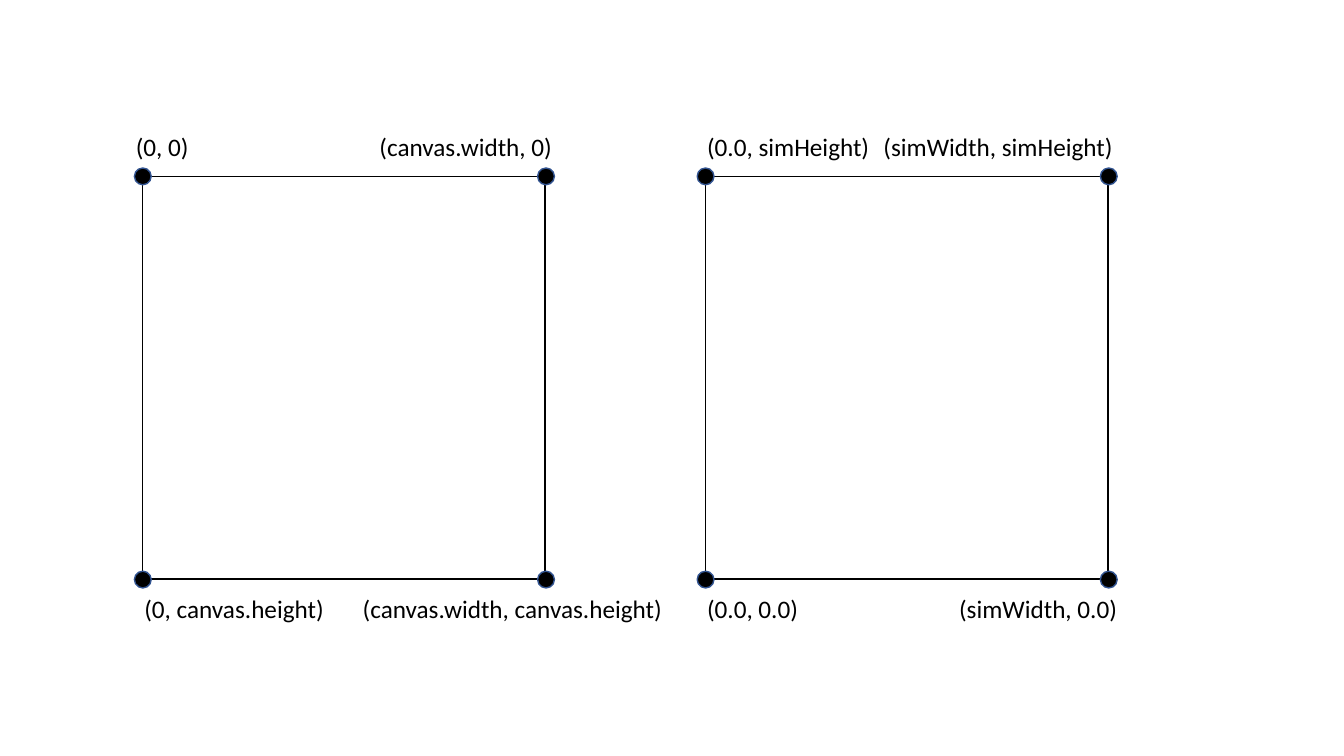
from pptx import Presentation
from pptx.dml.color import RGBColor
from pptx.enum.shapes import MSO_SHAPE
from pptx.enum.text import MSO_AUTO_SIZE, PP_ALIGN
from pptx.util import Pt

RECTANGLE = MSO_SHAPE.RECTANGLE
OVAL = MSO_SHAPE.OVAL
FIT_SHAPE = MSO_AUTO_SIZE.SHAPE_TO_FIT_TEXT
LEFT = PP_ALIGN.LEFT

COLORS = {"ink": "000000", "dot_edge": "325491"}
FONT = "Calibri"
SIDE = 287.5
DOT_SPACING = 288
DOT_SIZE = 12
LABEL_HEIGHT = 29
ABOVE, BELOW = -36, 294

CANVAS_LABELS = [
    ("(0, 0)", -12, ABOVE, 52.5),
    ("(canvas.width, 0)", 162, ABOVE, 139),
    ("(0, canvas.height)", -6, BELOW, 144),
    ("(canvas.width, canvas.height)", 150, BELOW, 231),
]
SIMULATION_LABELS = [
    ("(0.0, simHeight)", -6, ABOVE, 132),
    ("(simWidth, simHeight)", 120, ABOVE, 180),
    ("(0.0, 0.0)", -6, BELOW, 80.5),
    ("(simWidth, 0.0)", 174, BELOW, 129),
]


def color(name):
    return RGBColor.from_string(COLORS[name])


def add_outline(page, kind, left, top, size, line, fill=None):
    shape = page.shapes.add_shape(kind, Pt(left), Pt(top), Pt(size), Pt(size))
    shape.shadow.inherit = False
    if fill:
        shape.fill.solid()
        shape.fill.fore_color.rgb = color(fill)
    else:
        shape.fill.background()
    shape.line.color.rgb = color(line)
    shape.line.width = Pt(1)


def add_label(page, text, left, top, width):
    box = page.shapes.add_textbox(Pt(left), Pt(top), Pt(width), Pt(LABEL_HEIGHT))
    frame = box.text_frame
    frame.word_wrap = False
    frame.auto_size = FIT_SHAPE
    para = frame.paragraphs[0]
    para.alignment = LEFT
    span = para.add_run()
    span.text = text
    span.font.name = FONT
    span.font.size = Pt(18)
    span.font.color.rgb = color("ink")


def add_coordinate_square(page, left, top, labels):
    add_outline(page, RECTANGLE, left, top, SIDE, "ink")
    for text, across, down, width in labels:
        add_label(page, text, left + across, top + down, width)
    for across in (0, DOT_SPACING):
        for down in (0, DOT_SPACING):
            add_outline(page, OVAL, left + across - DOT_SIZE / 2,
                        top + down - DOT_SIZE / 2, DOT_SIZE, "dot_edge", "ink")


def main():
    deck = Presentation()
    deck.slide_width, deck.slide_height = Pt(960), Pt(540)
    page = deck.slides.add_slide(deck.slide_layouts[6])
    add_coordinate_square(page, 102, 126, CANVAS_LABELS)
    add_coordinate_square(page, 504, 126, SIMULATION_LABELS)
    deck.save("out.pptx")


if __name__ == "__main__":
    main()
